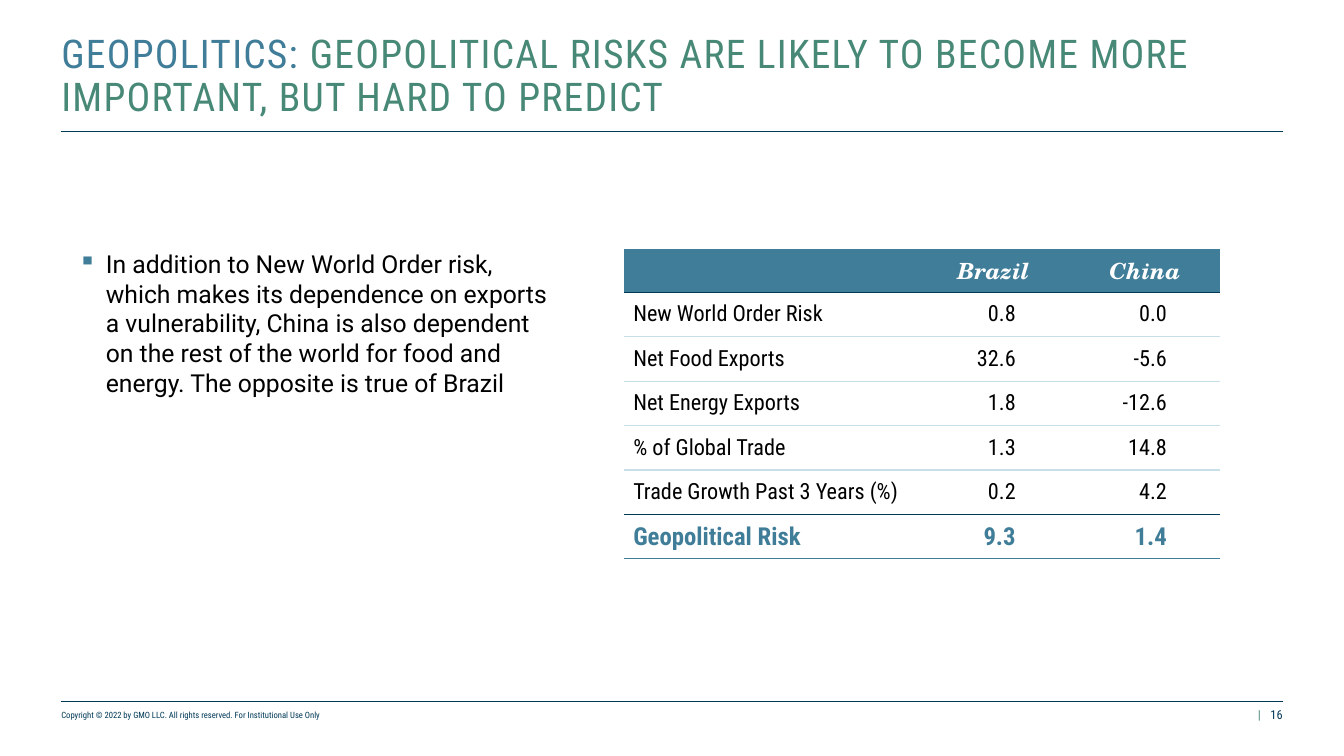
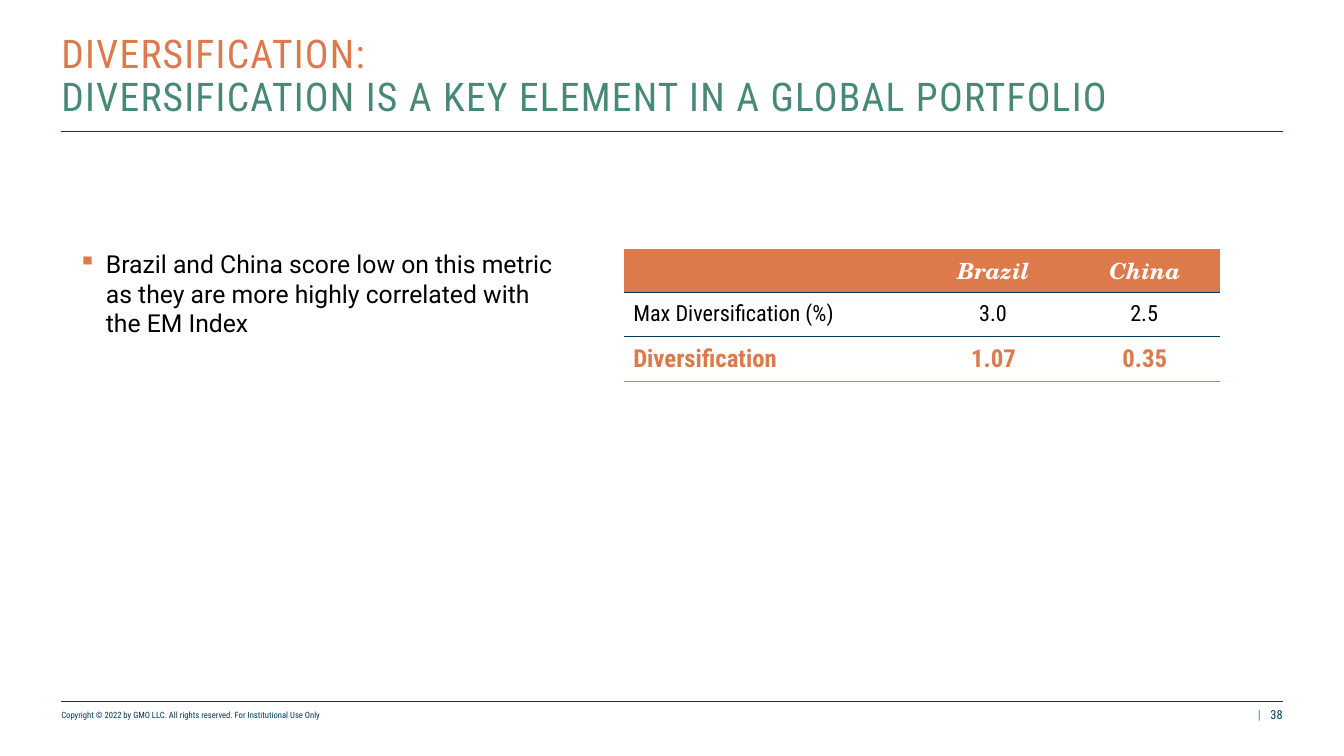
from collections import namedtuple

from lxml.etree import SubElement
from pptx import Presentation
from pptx.dml.color import RGBColor as RGB
from pptx.enum.shapes import MSO_CONNECTOR as CONN
from pptx.enum.text import MSO_ANCHOR as ANCHOR, MSO_AUTO_SIZE as FIT, PP_ALIGN as ALIGN
from pptx.oxml import parse_xml
from pptx.oxml.ns import nsdecls, qn
from pptx.util import Pt

Box = namedtuple("Box", "x y w h")

COLOURS = {
    "navy": "013957",
    "green": "478976",
    "blue": "407D98",
    "orange": "DC7A4B",
    "pale": "C8DEE8",
    "black": "000000",
    "white": "FFFFFF",
}
CONDENSED, BODY, SERIF = "Roboto Condensed", "Roboto", "TeX Gyre Schola"
NO_STYLE = "{2D5ABB26-0587-4C30-8999-92F81FD0307C}"
COPYRIGHT = "Copyright © 2022 by GMO LLC. All rights reserved. For Institutional Use Only"

WIDTH, HEIGHT = 1087.92, 612
LEFT, CONTENT_W = 49.68, 988.56
CONTENT_TOP = 201.5
TITLE = Box(LEFT, 36, CONTENT_W, 61.2)
FOOTER = Box(LEFT, 567.36, CONTENT_W, 17.3)
BULLETS = Box(LEFT, CONTENT_TOP, 401.76, 284.4)
TABLE = Box(505.4, CONTENT_TOP, 482.4, 0)
COLUMNS = (237.6, 122.4, 122.4)
HEADER_H, ROW_H = 35, 36


def colour(name):
    """Return the named colour."""
    return RGB.from_string(COLOURS[name])


def write(p, text, size=18, font=CONDENSED, fill="black", bold=False,
          italic=False, align=None, spacing=0):
    """Append formatted text to a paragraph, with a line break at each newline."""
    if align is not None:
        p.alignment = align
    for i, piece in enumerate(text.split("\n")):
        if i:
            p.add_line_break()
        if piece:
            r = p.add_run()
            r.text = piece
            r.font.size, r.font.name = Pt(size), font
            r.font.bold, r.font.italic = bold, italic
            r.font.color.rgb = colour(fill)
            if spacing:
                r.font._element.set("spc", str(spacing * 100))


def place(sp, box):
    """Move a shape to a box."""
    sp.left, sp.top, sp.width, sp.height = map(Pt, box)


def set_frame(sp, anchor):
    """Clear a frame's margins, anchor it and return its first paragraph."""
    tf = sp.text_frame
    tf.auto_size, tf.word_wrap, tf.vertical_anchor = FIT.NONE, True, anchor
    tf.margin_left = tf.margin_top = tf.margin_right = tf.margin_bottom = 0
    return tf.paragraphs[0]


def add_text(slide, box, anchor=ANCHOR.BOTTOM):
    """Add a text box and return its first paragraph."""
    return set_frame(slide.shapes.add_textbox(*map(Pt, box)), anchor)


def add_rule(slide, x, y, w, weight):
    """Draw a horizontal rule."""
    line = slide.shapes.add_connector(CONN.STRAIGHT, Pt(x), Pt(y), Pt(x + w), Pt(y))
    line.line.color.rgb = colour("navy")
    line.line.width = Pt(weight)
    SubElement(line._element.spPr, qn("a:effectLst"))


def add_title(slide, box, topic, message, accent):
    """Fill the title placeholder and underline it."""
    sp = slide.shapes.title
    place(sp, box)
    p = set_frame(sp, ANCHOR.BOTTOM)
    p.line_spacing = 0.9
    for text, fill in ((topic, accent), (message, "green")):
        write(p, text, size=32, fill=fill, align=ALIGN.LEFT, spacing=1)
    add_rule(slide, box.x, box.y + box.h + 9.36, box.w, 1)


def add_footer(slide, box, number):
    """Add the footer rule, copyright line and page number."""
    add_rule(slide, box.x, box.y, box.w, 0.5)
    y, right = box.y + 5, box.x + box.w
    write(add_text(slide, Box(box.x, y, 511.2, 10.8)), COPYRIGHT, size=7, fill="navy")
    write(add_text(slide, Box(right - 22.7, y, 8, 12.3)), "|",
          size=10, fill="green", align=ALIGN.CENTER)
    write(add_text(slide, Box(right - 244.8, y, 244.8, 12.3)), str(number),
          size=10, fill="navy", align=ALIGN.RIGHT)


def add_bullet(slide, box, text, accent):
    """Add a paragraph with a square bullet."""
    p = add_text(slide, box, ANCHOR.TOP)
    pPr = p._p.get_or_add_pPr()
    pPr.set("marL", str(Pt(36)))
    pPr.set("indent", str(Pt(-22.3)))
    SubElement(SubElement(pPr, qn("a:buClr")), qn("a:srgbClr"), val=COLOURS[accent])
    SubElement(pPr, qn("a:buChar"), char="▪")
    p.space_after = Pt(12)
    write(p, text, size=20, font=BODY)


def set_border(cell, side, name):
    """Draw one horizontal border of a cell."""
    cell._tc.get_or_add_tcPr().insert(0, parse_xml(
        f'<a:{side} {nsdecls("a")} w="{Pt(1)}"><a:solidFill>'
        f'<a:srgbClr val="{COLOURS[name]}"/></a:solidFill></a:{side}>'))


def add_scores(slide, box, rows, accent, inset, centre_total):
    """Add the score table with a coloured header and an emphasised total row."""
    last = len(rows)
    height = HEADER_H + ROW_H * last
    table = slide.shapes.add_table(
        last + 1, len(COLUMNS), *map(Pt, box._replace(h=height))).table
    table.first_row = table.horz_banding = False
    table._tbl.tblPr.find(qn("a:tableStyleId")).text = NO_STYLE
    for column, width in zip(table.columns, COLUMNS):
        column.width = Pt(width)
    rules = ["navy"] + ["pale"] * (last - 2) + ["navy", accent]
    for i, values in enumerate([("", "Brazil", "China"), *rows]):
        table.rows[i].height = Pt(ROW_H if i else HEADER_H)
        for j, value in enumerate(values):
            cell = table.cell(i, j)
            p = cell.text_frame.paragraphs[0]
            if i == 0:
                cell.fill.solid()
                cell.fill.fore_color.rgb = colour(accent)
                cell.vertical_anchor = ANCHOR.BOTTOM
                write(p, value, font=SERIF, fill="white", bold=True, italic=True,
                      align=ALIGN.CENTER)
            else:
                total = i == last
                centred = total and centre_total
                cell.fill.background()
                cell.vertical_anchor = ANCHOR.MIDDLE
                align = ALIGN.LEFT
                if j:
                    align = ALIGN.CENTER if centred else ALIGN.RIGHT
                    cell.margin_left = cell.margin_top = cell.margin_bottom = 0
                    cell.margin_right = 0 if centred else Pt(inset)
                write(p, value, size=20 if total else 18, bold=total,
                      fill=accent if total else "black", align=align)
            set_border(cell, "lnB", rules[i])
            if i:
                set_border(cell, "lnT", rules[i - 1])


def add_score_slide(prs, number, topic, message, accent, bullet, rows, inset,
                    centre_total=False):
    """Add a slide with a comment beside a score table."""
    slide = prs.slides.add_slide(prs.slide_layouts[5])
    add_title(slide, TITLE, topic, message, accent)
    add_bullet(slide, BULLETS, bullet, accent)
    add_scores(slide, TABLE, rows, accent, inset, centre_total)
    add_footer(slide, FOOTER, number)


def main():
    """Build and save the presentation."""
    prs = Presentation()
    prs.slide_width, prs.slide_height = Pt(WIDTH), Pt(HEIGHT)
    add_score_slide(
        prs, 16, "GEOPOLITICS: ",
        "GEOPOLITICAL RISKS ARE LIKELY TO BECOME MORE IMPORTANT, BUT HARD TO PREDICT",
        "blue",
        "In addition to New World Order risk, which makes its dependence on exports "
        "a vulnerability, China is also dependent on the rest of the world for food "
        "and energy. The opposite is true of Brazil",
        [("New World Order Risk", "0.8", "0.0"),
         ("Net Food Exports", "32.6", "-5.6"),
         ("Net Energy Exports", "1.8", "-12.6"),
         ("% of Global Trade", "1.3", "14.8"),
         ("Trade Growth Past 3 Years (%)", "0.2", "4.2"),
         ("Geopolitical Risk", "9.3", "1.4")],
        inset=43.2)
    add_score_slide(
        prs, 38, "DIVERSIFICATION:\n",
        "DIVERSIFICATION IS A KEY ELEMENT IN A GLOBAL PORTFOLIO",
        "orange",
        "Brazil and China score low on this metric as they are more highly "
        "correlated with the EM Index",
        [("Max Diversification (%)", "3.0", "2.5"),
         ("Diversification", "1.07", "0.35")],
        inset=50.4, centre_total=True)
    prs.save("out.pptx")


if __name__ == "__main__":
    main()
